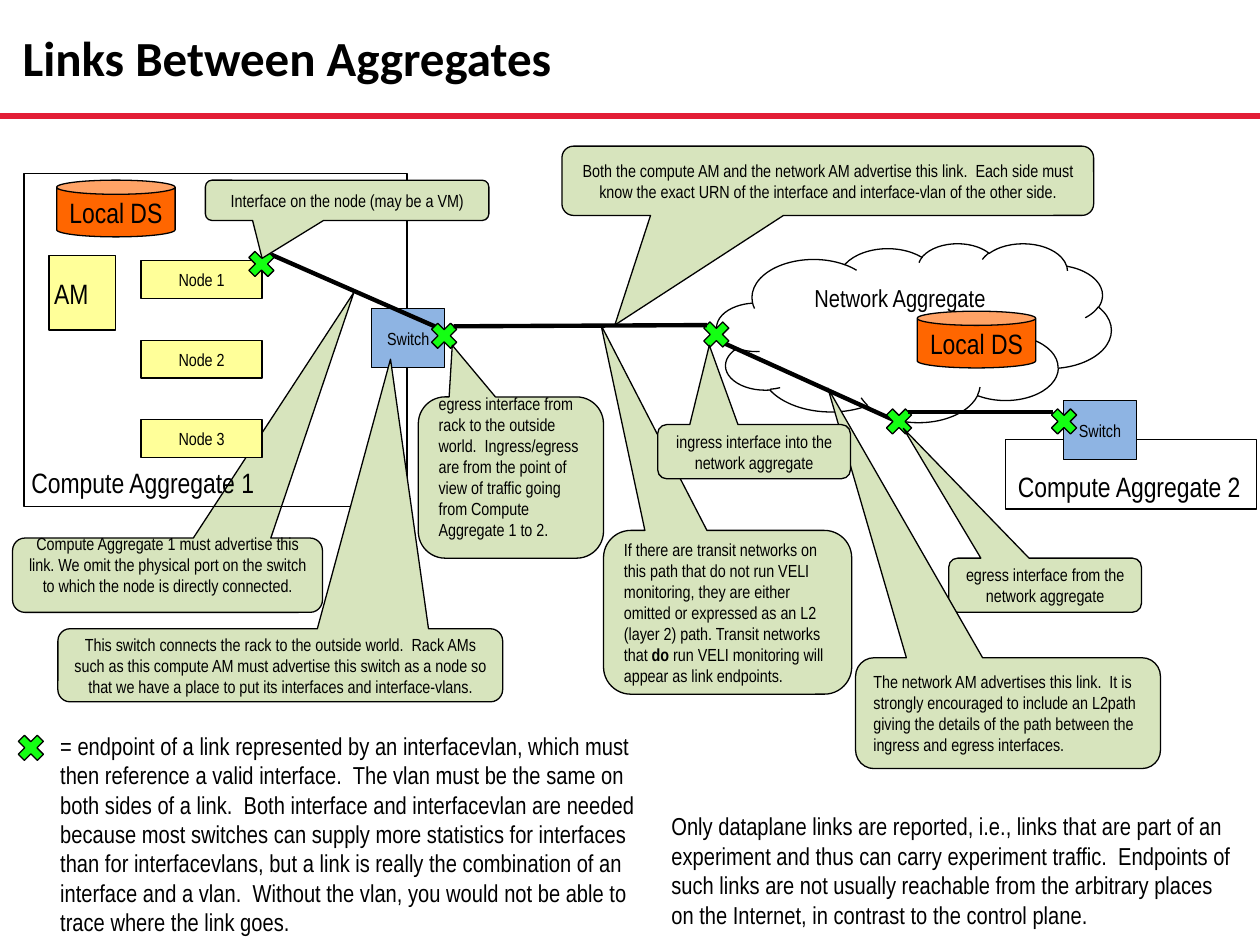
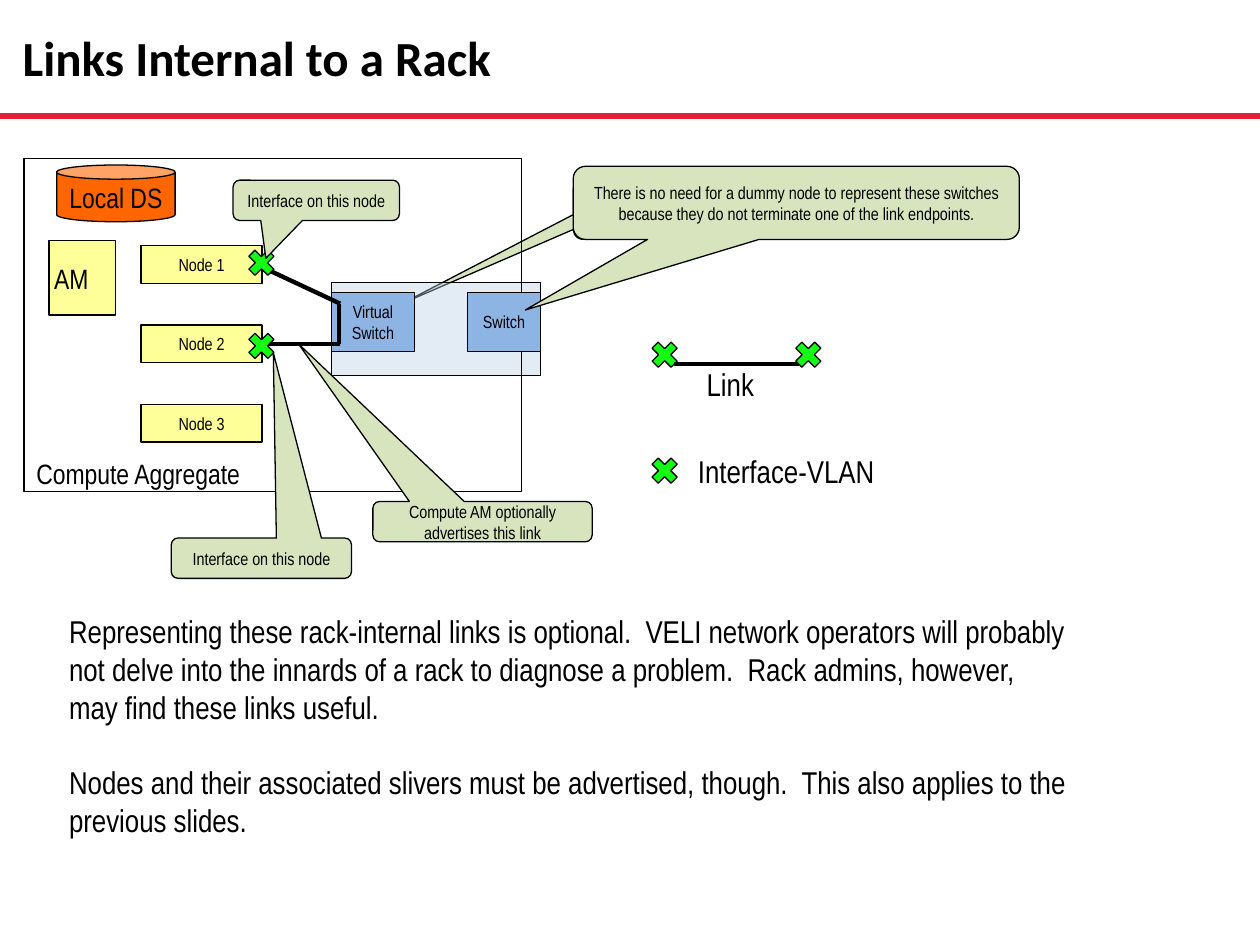
from lxml.etree import SubElement
from pptx import Presentation
from pptx.dml.color import RGBColor
from pptx.enum.shapes import MSO_CONNECTOR, MSO_SHAPE as SHAPE
from pptx.enum.text import MSO_ANCHOR as ANCHOR, PP_ALIGN as ALIGN
from pptx.oxml.ns import qn
from pptx.util import Inches, Pt

COLORS = {
    "ink": "000000",
    "rule": "E31E36",
    "callout": "D7E4BD",
    "node": "FFFF99",
    "switch": "8EB4E3",
    "zone": "B9CDE5",
    "store": "FF6600",
    "marker": "14FF13",
    "paper": "FFFFFF",
}
BODY_FONT, TITLE_FONT = "Arial Narrow", "Calibri"
MARKER = 0.29
TIGHT = (0, 0.05, 0, 0.05)
NORMAL = (0.1, 0.05, 0.1, 0.05)
SPARE_LINE = (0.1, 0.05, 0.1, 0.22)


def color(name):
    """Return the named colour."""
    return RGBColor.from_string(COLORS[name])


class Diagram:
    """Holds the deck, its style and the slide being drawn."""

    def __init__(self):
        """Start an empty 10 by 7.5 inch deck."""
        self.deck = Presentation()
        self.deck.slide_width, self.deck.slide_height = Inches(10), Inches(7.5)
        self.page = None

    def new_page(self, title):
        """Add a slide with its title and the red rule."""
        self.page = self.deck.slides.add_slide(self.deck.slide_layouts[5])
        self.line((10, 0.92), (0, 0.92), "rule", 3)
        box = self.page.shapes.title
        self.place(box, (0.08, 0.08, 7.78, 0.75))
        self.set_text(box, title, 28, ALIGN.LEFT, font=TITLE_FONT, bold=True)

    def place(self, box, area):
        """Move a shape to left, top, width, height."""
        box.left, box.top, box.width, box.height = map(Inches, area)

    def set_text(self, box, text, size, align=ALIGN.CENTER, anchor=ANCHOR.MIDDLE,
                 insets=NORMAL, wrap=True, font=BODY_FONT, bold=False, gap=0):
        """Fill a shape with text: paragraphs split by newlines, bold by **."""
        frame = box.text_frame
        frame.word_wrap, frame.vertical_anchor = wrap, anchor
        (frame.margin_left, frame.margin_top,
         frame.margin_right, frame.margin_bottom) = map(Inches, insets)
        for index, line in enumerate(text.split("\n")):
            para = frame.add_paragraph() if index else frame.paragraphs[0]
            para.alignment = align
            para.space_before = Pt(gap if index else 0)
            for turn, words in enumerate(line.split("**")):
                span = para.add_run()
                span.text = words
                span.font.name, span.font.size = font, Pt(size)
                span.font.bold = bold or turn % 2 == 1
                span.font.color.rgb = color("ink")

    def shape(self, kind, area, fill=None, text="", size=10, opacity=None, **style):
        """Draw an outlined preset shape, with text if there is any."""
        box = self.page.shapes.add_shape(kind, *map(Inches, area))
        box.shadow.inherit = False
        box.line.color.rgb, box.line.width = color("ink"), Pt(0.75)
        if fill:
            box.fill.solid()
            box.fill.fore_color.rgb = color(fill)
        else:
            box.fill.background()
        if opacity:
            tint = box._element.spPr.find(qn("a:solidFill"))[0]
            SubElement(tint, qn("a:alpha")).set("val", str(opacity * 1000))
        if text:
            self.set_text(box, text, size, **style)
        return box

    def callout(self, area, tip, text="", **style):
        """Draw a rounded callout whose tail ends at the tip point."""
        left, top, width, height = area
        box = self.shape(SHAPE.ROUNDED_RECTANGULAR_CALLOUT, area, "callout", text, **style)
        box.adjustments[0] = (tip[0] - left) / width - 0.5
        box.adjustments[1] = (tip[1] - top) / height - 0.5
        box.adjustments[2] = 0.167

    def line(self, start, end, ink="ink", width=2.5):
        """Draw a straight line."""
        link = self.page.shapes.add_connector(
            MSO_CONNECTOR.STRAIGHT, *map(Inches, start + end))
        link.line.color.rgb, link.line.width = color(ink), Pt(width)
        SubElement(link._element.spPr, qn("a:effectLst"))

    def marker(self, left, top):
        """Draw the green cross of a link endpoint."""
        self.shape(SHAPE.MATH_MULTIPLY, (left, top, MARKER, MARKER), "marker")

    def note(self, area, text, size, **style):
        """Add plain left-aligned text."""
        box = self.page.shapes.add_textbox(*map(Inches, area))
        self.set_text(box, text, size, ALIGN.LEFT, ANCHOR.TOP, **style)

    def switch(self, left, top, text="Switch", width=0.58):
        """Draw a blue switch."""
        self.shape(SHAPE.RECTANGLE, (left, top, width, 0.47), "switch", text)

    def store(self, left, top):
        """Draw a local data store."""
        self.shape(SHAPE.CAN, (left, top, 0.94, 0.45), "store", "Local DS", 16,
                   insets=TIGHT)

    def rack(self, top, width, label, insets):
        """Draw a compute aggregate with its store, manager and nodes."""
        self.shape(SHAPE.RECTANGLE, (0.19, top, width, 2.64), None, label, 16,
                   align=ALIGN.LEFT, anchor=ANCHOR.BOTTOM, insets=insets)
        self.store(0.45, top + 0.05)
        self.shape(SHAPE.RECTANGLE, (0.39, top + 0.65, 0.53, 0.59), "node", "AM", 16,
                   align=ALIGN.LEFT, insets=(0.04, 0.05, 0, 0.05))
        for index in range(3):
            self.shape(SHAPE.RECTANGLE, (1.12, top + 0.69 + 0.63 * index, 0.96, 0.3),
                       "node", f"Node {index + 1}", insets=TIGHT)


def between_aggregates(draw):
    """Draw the slide on links that join aggregates."""
    draw.new_page("Links Between Aggregates")
    draw.callout((0.1, 4.27, 2.46, 0.59), (2.81, 2.32),
                 "Compute Aggregate 1 must advertise this link. We omit the physical "
                 "port on the switch to which the node is directly connected.",
                 insets=SPARE_LINE)
    draw.shape(SHAPE.CLOUD, (5.69, 1.93, 3.13, 1.42), "paper", "Network Aggregate", 14,
               anchor=ANCHOR.TOP, insets=(0.1, 0.1, 0.1, 0.05))
    draw.rack(1.38, 3.04, "Compute Aggregate 1", (0.06, 0.05, 0, 0.06))
    draw.switch(2.95, 2.45)
    draw.line((2.15, 2.02), (3.45, 2.59))
    draw.marker(3.38, 2.52)
    draw.marker(1.93, 1.95)
    draw.line((5.76, 2.73), (7.13, 3.35))
    draw.marker(6.99, 3.2)
    draw.store(7.28, 2.47)
    draw.line((8.36, 3.27), (7.21, 3.27))
    draw.note((5.23, 6.39, 4.68, 1.04),
              "Only dataplane links are reported, i.e., links that are part of an "
              "experiment and thus can carry experiment traffic.  Endpoints of such "
              "links are not usually reachable from the arbitrary places on the "
              "Internet, in contrast to the control plane.", 14)
    draw.shape(SHAPE.RECTANGLE, (7.98, 3.49, 1.99, 0.55), None, "Compute Aggregate 2", 16,
               align=ALIGN.LEFT, anchor=ANCHOR.BOTTOM, wrap=False)
    draw.switch(8.44, 3.18)
    draw.marker(8.3, 3.2)
    draw.callout((4.46, 1.16, 4.22, 0.55), (4.88, 2.58),
                 "Both the compute AM and the network AM advertise this link.  Each side "
                 "must know the exact URN of the interface and interface-vlan of the "
                 "other side.")
    draw.marker(0.1, 5.79)
    draw.note((0.38, 5.75, 4.77, 1.75),
              "= endpoint of a link represented by an interfacevlan, which must then "
              "reference a valid interface.  The vlan must be the same on both sides of "
              "a link.  Both interface and interfacevlan are needed because most "
              "switches can supply more statistics for interfaces than for "
              "interfacevlans, but a link is really the combination of an interface and "
              "a vlan.  Without the vlan, you would not be able to trace where the link "
              "goes.", 14)
    draw.callout((1.63, 1.43, 2.25, 0.32), (2.08, 2.05),
                 "Interface on the node (may be a VM)")
    draw.callout((4.79, 4.21, 1.97, 1.3), (4.77, 2.58),
                 "If there are transit networks on this path that do not run VELI "
                 "monitoring, they are either omitted or expressed as an L2 (layer 2) "
                 "path. Transit networks that **do** run VELI monitoring will appear as "
                 "link endpoints.", align=ALIGN.LEFT)
    draw.callout((3.32, 3.15, 1.47, 1.28), (3.59, 2.74),
                 "egress interface from rack to the outside world.  Ingress/egress are "
                 "from the point of view of traffic going from Compute Aggregate 1 to 2.",
                 align=ALIGN.LEFT, insets=SPARE_LINE)
    draw.callout((7.53, 4.43, 1.53, 0.43), (7.17, 3.4),
                 "egress interface from the network aggregate")
    draw.callout((6.79, 5.22, 2.42, 0.88), (6.57, 3.08),
                 "The network AM advertises this link.  It is strongly encouraged to "
                 "include an L2path giving the details of the path between the ingress "
                 "and egress interfaces.", align=ALIGN.LEFT)
    draw.callout((0.46, 4.99, 3.53, 0.58), (3.1, 2.85),
                 "This switch connects the rack to the outside world.  Rack AMs such as "
                 "this compute AM must advertise this switch as a node so that we have a "
                 "place to put its interfaces and interface-vlans.")
    draw.marker(5.54, 2.51)
    draw.callout((5.22, 3.37, 1.53, 0.43), (5.63, 2.74),
                 "ingress interface into the network aggregate")
    draw.line((5.61, 2.58), (3.6, 2.59))


def inside_rack(draw):
    """Draw the slide on links that stay within one rack."""
    draw.new_page("Links Internal to a Rack")
    draw.callout((4.55, 1.43, 0.5, 0.47), (3.19, 2.41))
    draw.shape(SHAPE.RECTANGLE, (2.63, 2.24, 1.66, 0.74), "zone", opacity=40)
    draw.rack(1.26, 3.95, "Compute Aggregate", (0.1, 0.05, 0, 0.01))
    draw.switch(2.63, 2.32, "Virtual Switch", 0.66)
    draw.switch(3.71, 2.32)
    draw.line((2.08, 2.12), (2.7, 2.41))
    draw.line((2.7, 2.73), (2.08, 2.73))
    draw.marker(1.93, 1.94)
    draw.marker(1.93, 2.6)
    draw.line((2.69, 2.41), (2.69, 2.73))

    # Legend
    draw.marker(5.13, 3.59)
    draw.note((5.44, 3.54, 1.62, 0.4), "Interface-VLAN", 18, wrap=False)
    draw.marker(5.13, 2.67)
    draw.line((5.35, 2.89), (6.34, 2.89))
    draw.marker(6.27, 2.67)
    draw.note((5.51, 2.85, 0.59, 0.4), "Link", 18, wrap=False)

    draw.callout((1.85, 1.43, 1.32, 0.32), (2.11, 2.05), "Interface on this node")
    draw.callout((1.36, 4.27, 1.43, 0.32), (2.17, 2.8), "Interface on this node")
    draw.callout((4.55, 1.32, 3.54, 0.58), (4.17, 2.46),
                 "There is no need for a dummy node to represent these switches because "
                 "they do not terminate one of the link endpoints.")
    draw.callout((2.96, 3.98, 1.74, 0.32), (2.37, 2.73),
                 "Compute AM optionally advertises this link")
    draw.note((0.45, 4.81, 8.13, 1.92),
              "Representing these rack-internal links is optional.  VELI network "
              "operators will probably not delve into the innards of a rack to diagnose "
              "a problem.  Rack admins, however, may find these links useful.\n"
              "Nodes and their associated slivers must be advertised, though.  This also "
              "applies to the previous slides.", 18, gap=21.6)


diagram = Diagram()
between_aggregates(diagram)
inside_rack(diagram)
diagram.deck.save("out.pptx")
